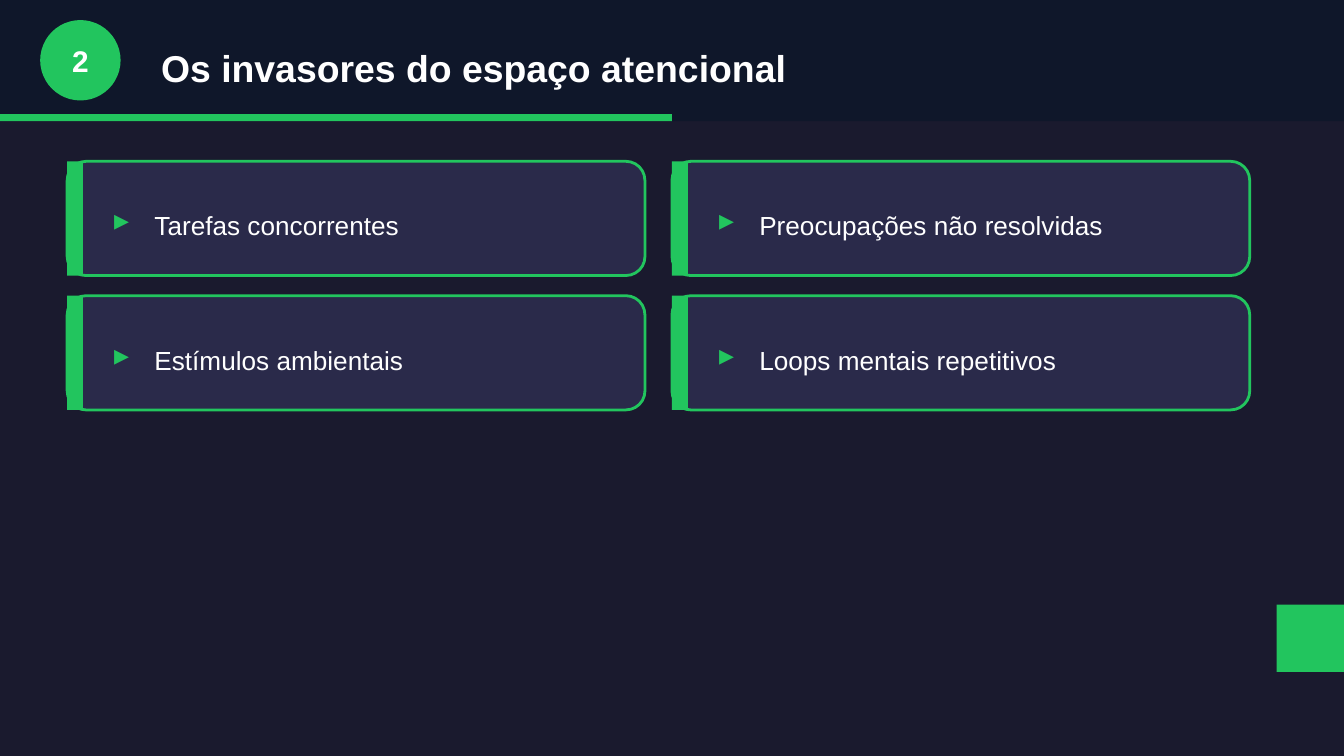
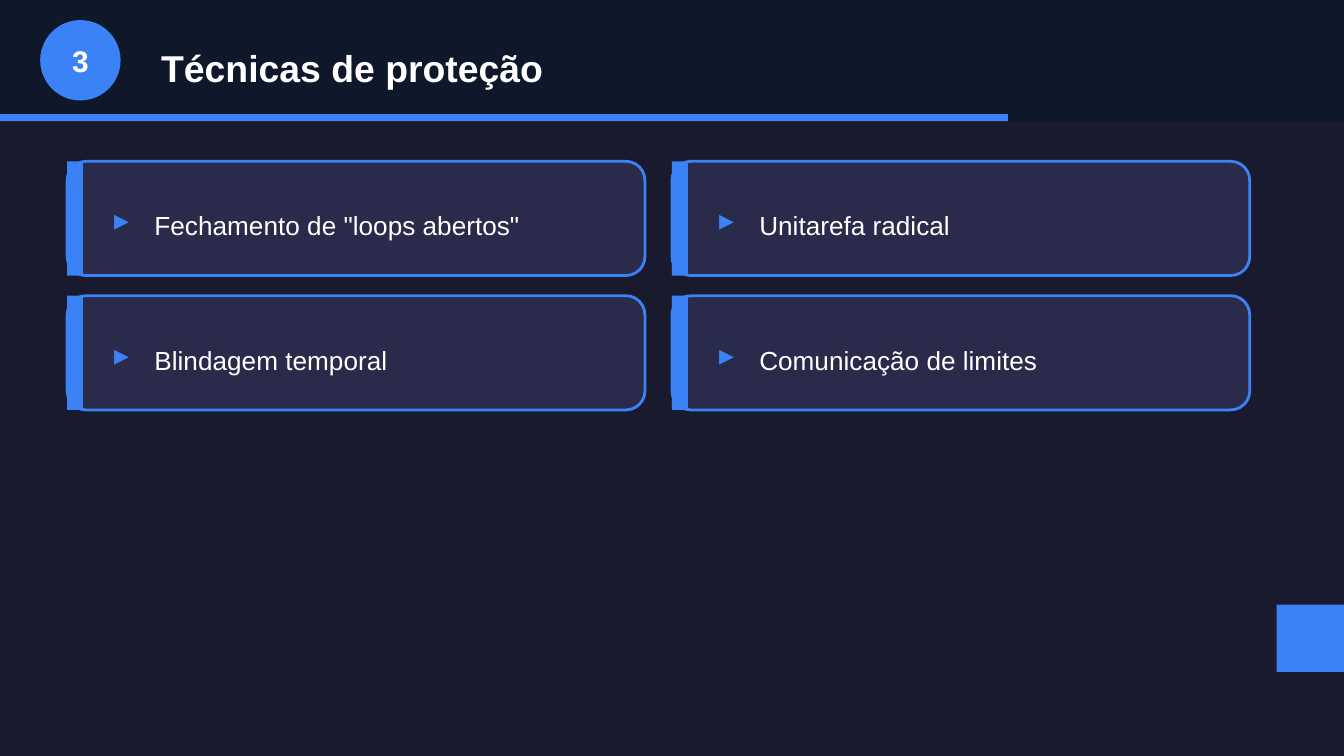
from dataclasses import dataclass
from typing import NamedTuple

from pptx import Presentation
from pptx.dml.color import RGBColor
from pptx.enum.shapes import MSO_SHAPE
from pptx.enum.text import MSO_ANCHOR, MSO_AUTO_SIZE, PP_ALIGN
from pptx.shapes.autoshape import Shape
from pptx.slide import Slide
from pptx.util import Cm, Pt

RECTANGLE, ROUNDED, OVAL = MSO_SHAPE.RECTANGLE, MSO_SHAPE.ROUNDED_RECTANGLE, MSO_SHAPE.OVAL
LEFT, CENTER = PP_ALIGN.LEFT, PP_ALIGN.CENTER
MIDDLE = MSO_ANCHOR.MIDDLE
NO_AUTOFIT = MSO_AUTO_SIZE.NONE
TITLE_ONLY = 5


@dataclass(frozen=True)
class Theme:
    background: str = "1A1A2E"
    band: str = "0F172A"
    card: str = "2A2A4A"
    text: str = "FFFFFF"
    green: str = "22C55E"
    blue: str = "3B82F6"
    font: str = "Arial"
    title_size: float = 20
    symbol_size: float = 16
    label_size: float = 14
    outline: float = 1.5


class Area(NamedTuple):
    """A rectangle in centimetres."""
    left: float
    top: float
    width: float
    height: float

    def inside(self, left: float, top: float, width: float, height: float) -> "Area":
        """Return an area placed relative to this one's corner."""
        return Area(self.left + left, self.top + top, width, height)


class TextStyle(NamedTuple):
    size: float
    color: str
    bold: bool = False
    align: PP_ALIGN = LEFT


@dataclass(frozen=True)
class Section:
    number: int
    title: str
    accent: str
    topics: tuple[str, ...]


THEME = Theme()
SLIDE_WIDTH, SLIDE_HEIGHT = 25.4, 14.29
SECTION_COUNT = 4

BAND = Area(0, 0, SLIDE_WIDTH, 2.29)
PROGRESS_TOP, PROGRESS_HEIGHT = 2.16, 0.13
BADGE = Area(0.76, 0.38, 1.52, 1.52)
BADGE_NUMBER = Area(0.76, 0.64, 1.52, 1.02)
TITLE = Area(2.79, 0.64, 21.59, 1.27)
CORNER = Area(24.13, 11.43, 1.27, 1.27)

FIRST_CARD = Area(1.27, 3.05, 10.92, 2.16)
CARD_COLUMNS = 2
CARD_STEP_X, CARD_STEP_Y = 11.43, 2.54
STRIPE_WIDTH = 0.3

SECTIONS = (
    Section(2, "Os invasores do espaço atencional", THEME.green, (
        "Tarefas concorrentes",
        "Preocupações não resolvidas",
        "Estímulos ambientais",
        "Loops mentais repetitivos",
    )),
    Section(3, "Técnicas de proteção", THEME.blue, (
        'Fechamento de "loops abertos"',
        "Unitarefa radical",
        "Blindagem temporal",
        "Comunicação de limites",
    )),
)


def rgb(color: str) -> RGBColor:
    return RGBColor.from_string(color)


def lengths(area: Area) -> tuple[Cm, ...]:
    return tuple(Cm(value) for value in area)


def add_block(page: Slide, kind: MSO_SHAPE, area: Area, fill: str, line: str | None = None) -> None:
    block = page.shapes.add_shape(kind, *lengths(area))
    block.shadow.inherit = False
    block.fill.solid()
    block.fill.fore_color.rgb = rgb(fill)
    if line:
        block.line.color.rgb = rgb(line)
        block.line.width = Pt(THEME.outline)
    else:
        block.line.fill.background()


def write(box: Shape, text: str, style: TextStyle) -> None:
    frame = box.text_frame
    frame.text = text
    frame.word_wrap = True
    frame.auto_size = NO_AUTOFIT
    frame.vertical_anchor = MIDDLE
    para = frame.paragraphs[0]
    para.alignment = style.align
    font = para.runs[0].font
    font.name = THEME.font
    font.size = Pt(style.size)
    font.bold = style.bold
    font.color.rgb = rgb(style.color)


def add_text(page: Slide, area: Area, text: str, style: TextStyle) -> None:
    write(page.shapes.add_textbox(*lengths(area)), text, style)


def place_title(page: Slide, text: str) -> None:
    """Fill the title placeholder and bring it in front of the band."""
    title = page.shapes.title
    title.left, title.top, title.width, title.height = lengths(TITLE)
    write(title, text, TextStyle(THEME.title_size, THEME.text, bold=True))
    title.element.getparent().append(title.element)


def add_header(page: Slide, section: Section) -> None:
    progress = Area(0, PROGRESS_TOP, SLIDE_WIDTH * section.number / SECTION_COUNT, PROGRESS_HEIGHT)
    add_block(page, RECTANGLE, BAND, THEME.band)
    add_block(page, RECTANGLE, progress, section.accent)
    add_block(page, OVAL, BADGE, section.accent)
    number_style = TextStyle(THEME.symbol_size, THEME.text, bold=True, align=CENTER)
    add_text(page, BADGE_NUMBER, str(section.number), number_style)
    place_title(page, section.title)


def add_card(page: Slide, index: int, topic: str, accent: str) -> None:
    row, column = divmod(index, CARD_COLUMNS)
    card = FIRST_CARD.inside(column * CARD_STEP_X, row * CARD_STEP_Y,
                             FIRST_CARD.width, FIRST_CARD.height)
    add_block(page, ROUNDED, card, THEME.card, accent)
    add_block(page, RECTANGLE, card.inside(0, 0, STRIPE_WIDTH, card.height), accent)
    add_text(page, card.inside(0.64, 0.64, 0.76, 0.89), "▸",
             TextStyle(THEME.symbol_size, accent, bold=True))
    add_text(page, card.inside(1.4, 0.64, 8.89, 1.14), topic,
             TextStyle(THEME.label_size, THEME.text))


def main() -> None:
    deck = Presentation()
    deck.slide_width, deck.slide_height = Cm(SLIDE_WIDTH), Cm(SLIDE_HEIGHT)
    backdrop = deck.slide_master.background.fill
    backdrop.solid()
    backdrop.fore_color.rgb = rgb(THEME.background)
    for section in SECTIONS:
        page = deck.slides.add_slide(deck.slide_layouts[TITLE_ONLY])
        add_header(page, section)
        for index, topic in enumerate(section.topics):
            add_card(page, index, topic, section.accent)
        add_block(page, RECTANGLE, CORNER, section.accent)
    deck.save("out.pptx")


if __name__ == "__main__":
    main()
